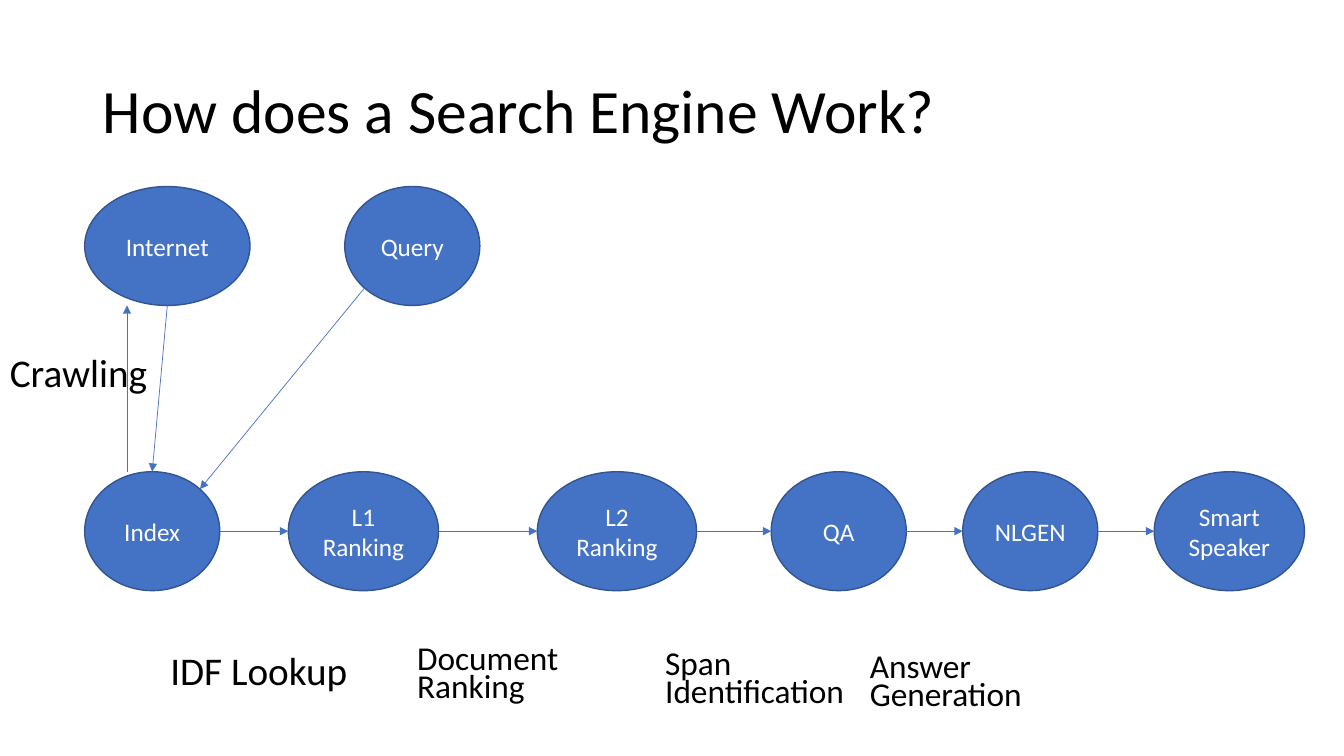
from dataclasses import dataclass
from itertools import pairwise
from math import sqrt

from lxml.etree import SubElement
from pptx import Presentation
from pptx.dml.color import RGBColor
from pptx.enum.shapes import MSO_CONNECTOR, MSO_SHAPE
from pptx.enum.text import MSO_ANCHOR, MSO_AUTO_SIZE, PP_ALIGN
from pptx.oxml.ns import qn
from pptx.slide import Slide
from pptx.text.text import TextFrame
from pptx.util import Inches, Pt

BLUE = RGBColor(0x44, 0x72, 0xC4)
DARK_BLUE = RGBColor(0x32, 0x54, 0x91)
WHITE = RGBColor(0xFF, 0xFF, 0xFF)
BLACK = RGBColor(0x00, 0x00, 0x00)
FONT = "Calibri"

SLIDE_WIDTH, SLIDE_HEIGHT = Inches(13.33), Inches(7.5)
COLUMNS = ROWS = 100
TOP_ROW, STAGE_ROW = 24.67, 62.4
NODE_ROWS = 15.73
LABEL_COLUMNS, LABEL_ROWS = 15.23, 9.6
DIAGONAL = sqrt(0.5)

Point = tuple[float, float]


@dataclass(frozen=True)
class Node:
    text: str
    column: float
    row: float
    columns: float = 10.05

    def edge(self, across: float, down: float) -> Point:
        return (self.column + self.columns * (1 + across) / 2,
                self.row + NODE_ROWS * (1 + down) / 2)


@dataclass(frozen=True)
class Label:
    text: str
    column: float
    row: float
    size: float = 23.8
    spacing: float = 0.7


INTERNET = Node("Internet", 6.3, TOP_ROW, 12.3)
QUERY = Node("Query", 25.65, TOP_ROW)
STAGES = [
    Node("Index", 6.3, STAGE_ROW),
    Node("L1 Ranking", 21.45, STAGE_ROW, 11.18),
    Node("L2 Ranking", 39.98, STAGE_ROW, 11.85),
    Node("QA", 57.38, STAGE_ROW),
    Node("NLGEN", 71.63, STAGE_ROW),
    Node("Smart Speaker", 85.88, STAGE_ROW, 11.18),
]
INDEX = STAGES[0]
CRAWL_COLUMN = 9.45
ARROWS = [(left.edge(1, 0), right.edge(-1, 0)) for left, right in pairwise(STAGES)] + [
    ((CRAWL_COLUMN, STAGE_ROW), (CRAWL_COLUMN, TOP_ROW + NODE_ROWS)),
    (QUERY.edge(-DIAGONAL, DIAGONAL), INDEX.edge(DIAGONAL, -DIAGONAL)),
    (INTERNET.edge(0, 1), INDEX.edge(0, -1)),
]
LABELS = [
    Label("Crawling", 0, 46.13, 28, 0.9),
    Label("Document Ranking", 30.3, 85.07),
    Label("IDF Lookup", 11.93, 85.6, 28, 0.9),
    Label("Span Identification", 48.75, 85.73),
    Label("Answer Generation", 63.98, 86.13),
]


def across(columns: float) -> int:
    return round(SLIDE_WIDTH * columns / COLUMNS)


def down(rows: float) -> int:
    return round(SLIDE_HEIGHT * rows / ROWS)


def write(frame: TextFrame, text: str, size: float, color: RGBColor,
          align: PP_ALIGN, spacing: float = 1.0, before: float = 0) -> None:
    frame.text = text
    frame.word_wrap = True
    frame.auto_size = MSO_AUTO_SIZE.NONE
    para = frame.paragraphs[0]
    para.alignment = align
    para.line_spacing = spacing
    para.space_before = Pt(before)
    font = para.runs[0].font
    font.name, font.size = FONT, Pt(size)
    font.color.rgb = color


def draw_title(page: Slide, text: str) -> None:
    title = page.shapes.title
    title.left, title.top = across(6.9), down(5.33)
    title.width, title.height = across(86.25), down(19.33)
    write(title.text_frame, text, 44, BLACK, PP_ALIGN.LEFT, 0.9)
    title.text_frame.vertical_anchor = MSO_ANCHOR.MIDDLE


def draw_node(page: Slide, node: Node) -> None:
    oval = page.shapes.add_shape(MSO_SHAPE.OVAL, across(node.column), down(node.row),
                                 across(node.columns), down(NODE_ROWS))
    oval.shadow.inherit = False
    oval.fill.solid()
    oval.fill.fore_color.rgb = BLUE
    oval.line.color.rgb = DARK_BLUE
    oval.line.width = Pt(1)
    write(oval.text_frame, node.text, 18, WHITE, PP_ALIGN.CENTER)
    oval.text_frame.vertical_anchor = MSO_ANCHOR.MIDDLE


def draw_arrow(page: Slide, start: Point, end: Point) -> None:
    arrow = page.shapes.add_connector(MSO_CONNECTOR.STRAIGHT, across(start[0]), down(start[1]),
                                      across(end[0]), down(end[1]))
    arrow.line.color.rgb = BLUE
    arrow.line.width = Pt(0.5)
    SubElement(arrow.line._get_or_add_ln(), qn("a:tailEnd"), type="triangle")
    SubElement(arrow._element.spPr, qn("a:effectLst"))


def draw_label(page: Slide, label: Label) -> None:
    box = page.shapes.add_textbox(across(label.column), down(label.row),
                                  across(LABEL_COLUMNS), down(LABEL_ROWS))
    write(box.text_frame, label.text, label.size, BLACK, PP_ALIGN.LEFT, label.spacing, 10)


deck = Presentation()
deck.slide_width, deck.slide_height = SLIDE_WIDTH, SLIDE_HEIGHT
page = deck.slides.add_slide(deck.slide_layouts.get_by_name("Title Only"))

draw_title(page, "How does a Search Engine Work?")
for node in [INTERNET, QUERY, *STAGES]:
    draw_node(page, node)
for start, end in ARROWS:
    draw_arrow(page, start, end)
for label in LABELS:
    draw_label(page, label)

deck.save("out.pptx")
